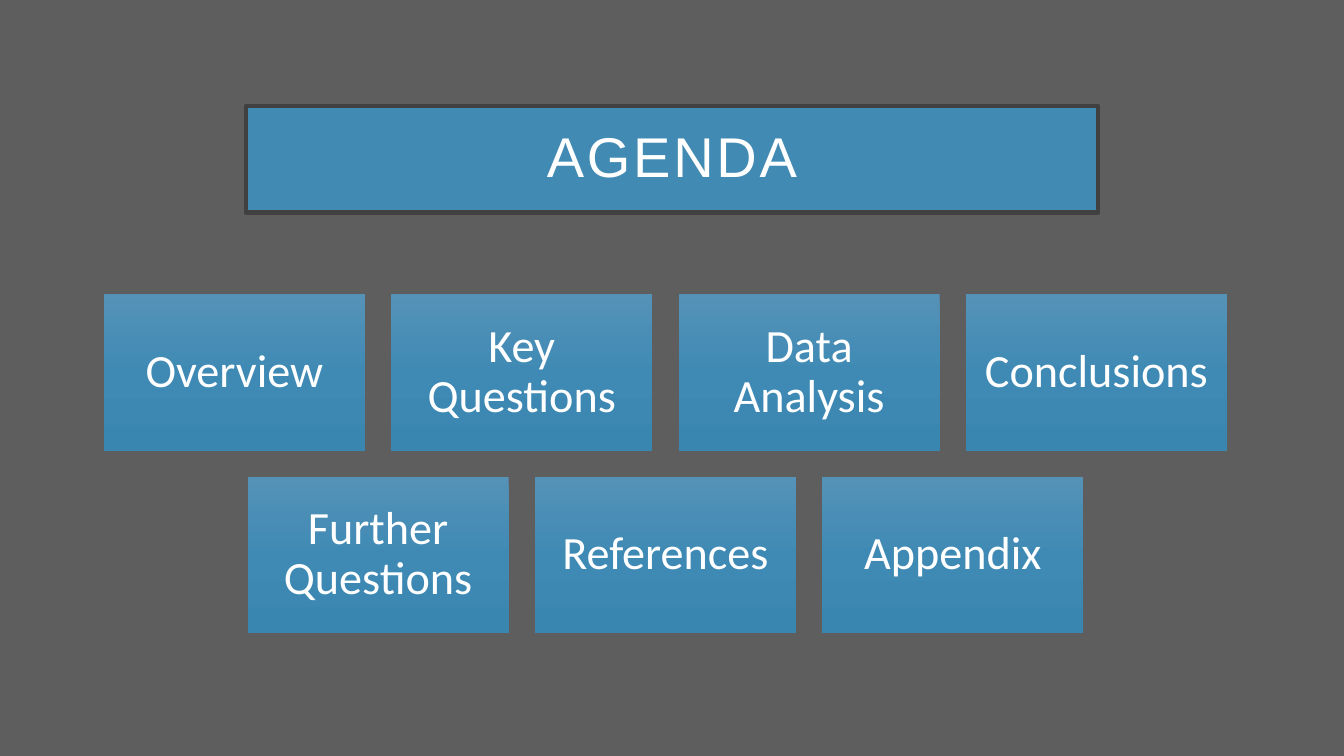
from copy import deepcopy

from pptx import Presentation
from pptx.dml.color import RGBColor
from pptx.enum.shapes import MSO_SHAPE
from pptx.enum.text import MSO_ANCHOR, PP_ALIGN
from pptx.util import Inches, Pt

RECTANGLE = MSO_SHAPE.RECTANGLE
MIDDLE = MSO_ANCHOR.MIDDLE
CENTER = PP_ALIGN.CENTER

TOPIC_ROWS = [
    ["Overview", "Key Questions", "Data Analysis", "Conclusions"],
    ["Further Questions", "References", "Appendix"],
]
GRADIENT = [(0, "5592B7"), (0.5, "3F8AB5"), (1, "3986B1")]
TILE_WIDTH, TILE_HEIGHT, GAP = 2.59, 1.55, 0.26
GRID_CENTER, GRID_TOP = 6.6, 2.92


def color(hex_string):
    """Turn a hex string into a colour."""
    return RGBColor.from_string(hex_string)


def add_box(left, top, width, height, text, font_name, size, inset):
    """Add a rectangle with centred white text, lengths in inches."""
    box = page.shapes.add_shape(
        RECTANGLE, Inches(left), Inches(top), Inches(width), Inches(height))
    box.shadow.inherit = False
    frame = box.text_frame
    frame.word_wrap = True
    frame.vertical_anchor = MIDDLE
    frame.margin_left = frame.margin_right = Inches(inset)
    frame.margin_top = frame.margin_bottom = Inches(inset)
    paragraph = frame.paragraphs[0]
    paragraph.text = text
    paragraph.alignment = CENTER
    paragraph.line_spacing = 0.9
    paragraph.font.name = font_name
    paragraph.font.size = Pt(size)
    paragraph.font.color.rgb = color("FFFFFF")
    return box


deck = Presentation()
deck.slide_width, deck.slide_height = Inches(13.33), Inches(7.5)
page = deck.slides.add_slide(deck.slide_layouts[6])
page.background.fill.solid()
page.background.fill.fore_color.rgb = color("5E5E5E")

# Title banner
title = add_box(2.44, 1.05, 8.45, 1.06, "AGENDA", "Arial", 40, 0.2)
title.fill.solid()
title.fill.fore_color.rgb = color("418AB3")
title.line.color.rgb = color("404040")
title.line.width = Pt(3)
title_span = title.text_frame.paragraphs[0].runs[0]
title_span.font._element.set("spc", "200")

# Topic tiles, each row centred on the same axis
for row, topics in enumerate(TOPIC_ROWS):
    row_width = len(topics) * (TILE_WIDTH + GAP) - GAP
    top = GRID_TOP + row * (TILE_HEIGHT + GAP)
    for column, topic in enumerate(topics):
        left = GRID_CENTER - row_width / 2 + column * (TILE_WIDTH + GAP)
        tile = add_box(left, top, TILE_WIDTH, TILE_HEIGHT, topic, "Calibri", 33, 0.14)
        tile.line.fill.background()
        tile.fill.gradient()
        tile.fill.gradient_angle = 270
        # The default gradient has two stops; a third is needed
        stop_list = tile._element.xpath(".//a:gsLst")[0]
        stop_list.insert(1, deepcopy(stop_list[0]))
        for stop, (position, shade) in zip(tile.fill.gradient_stops, GRADIENT):
            stop.position = position
            stop.color.rgb = color(shade)

deck.save("out.pptx")
